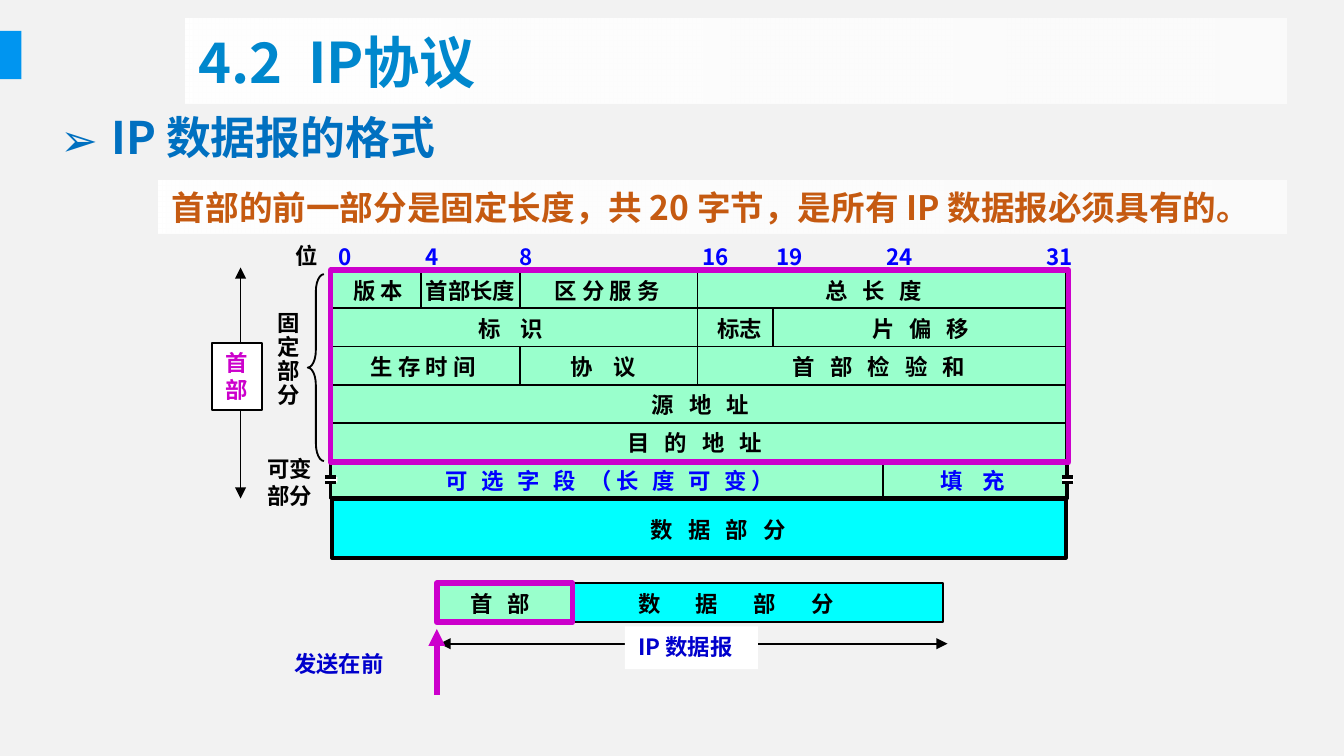
"""Build the slide on the IP datagram format."""
from typing import NamedTuple, Optional

from lxml import etree
from pptx import Presentation
from pptx.dml.color import RGBColor
from pptx.enum.shapes import MSO_CONNECTOR, MSO_SHAPE
from pptx.enum.text import MSO_ANCHOR, MSO_AUTO_SIZE, PP_ALIGN
from pptx.oxml.ns import qn
from pptx.util import Inches, Pt

RECT, BRACE = MSO_SHAPE.RECTANGLE, MSO_SHAPE.LEFT_BRACE
STRAIGHT = MSO_CONNECTOR.STRAIGHT
TOP, MIDDLE = MSO_ANCHOR.TOP, MSO_ANCHOR.MIDDLE
LEFT, CENTER = PP_ALIGN.LEFT, PP_ALIGN.CENTER
GROW, FIXED = MSO_AUTO_SIZE.SHAPE_TO_FIT_TEXT, MSO_AUTO_SIZE.NONE

FONT = "Noto Sans CJK SC"
COLORS = {
    "page": "F2F2F2", "accent": "0095F0", "title": "0087CD", "topic": "0070C0",
    "note": "C55A11", "black": "000000", "white": "FFFFFF", "blue": "0000FF",
    "navy": "0000CC", "pink": "CC00CC", "green": "99FFCC", "cyan": "00FFFF",
}
HEAD_X, HEAD_Y, HEAD_W, ROW_H = 2.46, 2.01, 5.49, 1.42 / 5


class Box(NamedTuple):
    x: float
    y: float
    w: float
    h: float
    fill: Optional[str] = None
    line: Optional[str] = None
    weight: float = 1


class Label(NamedTuple):
    text: str
    color: str = "black"
    size: float = 12
    gap: float = 0
    align: int = LEFT
    wrap: bool = False
    anchor: int = TOP
    leading: float = 1


class Line(NamedTuple):
    x1: float
    y1: float
    x2: float
    y2: float
    weight: float = 1
    color: str = "black"
    head: bool = False
    tail: bool = False


class Field(NamedTuple):
    row: int
    x: float
    w: float
    text: str
    gap: float = 0
    color: str = "black"


def row_y(row: float) -> float:
    return HEAD_Y + ROW_H * row


def rgb(name: str) -> RGBColor:
    return RGBColor.from_string(COLORS[name])


def draw_box(slide, box: Box, kind=RECT):
    shape = slide.shapes.add_shape(kind, *map(Inches, box[:4]))
    shape.shadow.inherit = False
    if box.fill:
        shape.fill.solid()
        shape.fill.fore_color.rgb = rgb(box.fill)
    else:
        shape.fill.background()
    if box.line:
        shape.line.color.rgb = rgb(box.line)
        shape.line.width = Pt(box.weight)
    else:
        shape.line.fill.background()
    return shape


def draw_fade(slide, box: Box):
    shape = draw_box(slide, box)
    shape.fill.gradient()
    shape.fill.gradient_angle = 0
    for stop in shape.fill.gradient_stops:
        stop.color.rgb = rgb("white")
    last = shape._element.xpath(".//a:gs/a:srgbClr")[-1]
    etree.SubElement(last, qn("a:alpha"), val="67000")
    return shape


def draw_line(slide, line: Line) -> None:
    link = slide.shapes.add_connector(STRAIGHT, *map(Inches, line[:4]))
    link.line.color.rgb = rgb(line.color)
    link.line.width = Pt(line.weight)
    stroke = link.line._get_or_add_ln()
    for tag, used in (("a:headEnd", line.head), ("a:tailEnd", line.tail)):
        if used:
            etree.SubElement(stroke, qn(tag), type="triangle")
    etree.SubElement(link._element.spPr, qn("a:effectLst"))


def style_run(run, label: Label) -> None:
    run.font.size, run.font.bold = Pt(label.size), True
    run.font.color.rgb = rgb(label.color)
    run.font.name = FONT
    props = run._r.get_or_add_rPr()
    etree.SubElement(props, qn("a:ea"), typeface=FONT)
    if label.gap:
        props.set("spc", str(round(label.gap * 100)))


def write(shape, label: Label) -> None:
    frame = shape.text_frame
    frame.text = label.text
    frame.word_wrap = label.wrap
    frame.vertical_anchor = label.anchor
    frame.auto_size = GROW if label.anchor == TOP else FIXED
    for para in frame.paragraphs:
        para.alignment = label.align
        para.line_spacing = label.leading
        for run in para.runs:
            style_run(run, label)


def draw_text(slide, box: Box, label: Label):
    shape = slide.shapes.add_textbox(*map(Inches, box[:4]))
    write(shape, label)
    return shape


def draw_break(slide, x: float) -> None:
    draw_box(slide, Box(x, 3.55, 0.09, 0.04, "white"))
    for y in (3.55, 3.59):
        draw_line(slide, Line(x, y, x + 0.08, y, 2))


FIELDS = [
    Field(0, 2.53, 0.59, "版 本"), Field(0, 3.07, 0.87, "首部长度"),
    Field(0, 4.03, 1.03, "区 分 服 务"), Field(0, 6.04, 1.01, "总 长 度", 2.7),
    Field(1, 3.46, 0.74, "标 识", 4), Field(1, 5.24, 0.54, "标志"),
    Field(1, 6.39, 1.01, "片 偏 移", 2.7), Field(2, 2.66, 1.03, "生 存 时 间"),
    Field(2, 4.15, 0.74, "协 议", 4), Field(2, 5.8, 1.65, "首 部 检 验 和", 2.7),
    Field(3, 4.75, 1.01, "源 地 址", 2.7), Field(4, 4.57, 1.33, "目 的 地 址", 2.7),
    Field(5, 3.22, 2.9, "可 选 字 段 （长 度 可 变）", 2.3, "blue"),
    Field(5, 6.9, 0.74, "填 充", 4, "blue"),
]
SPLITS = [(3.13, 0, 1), (3.87, 0, 1), (3.87, 2, 3), (5.19, 0, 3),
          (5.75, 1, 2), (6.57, 5, 6)]
BITS = {"0": 2.42, "4": 3.07, "8": 3.77, "16": 5.13, "19": 5.68, "24": 6.5,
        "31": 7.69}


def draw_head(slide) -> None:
    draw_box(slide, Box(HEAD_X, HEAD_Y, 5.48, 1.7, "green", "black", 2))
    data = Box(2.47, 3.71, 5.46, 0.44, "cyan", "black", 2.25)
    draw_box(slide, data)
    for row in range(1, 6):
        draw_line(slide, Line(HEAD_X, row_y(row), HEAD_X + HEAD_W, row_y(row)))
    for x, start, end in SPLITS:
        draw_line(slide, Line(x, row_y(start), x, row_y(end)))
    for bit, x in BITS.items():
        draw_text(slide, Box(x, 1.76, 0.2 + 0.1 * len(bit), 0.3), Label(bit, "blue"))
    for field in FIELDS:
        draw_text(slide, Box(field.x, row_y(field.row), field.w, 0.3),
                  Label(field.text, field.color, gap=field.gap))
    for x in (2.42, 7.9):
        draw_break(slide, x)
    draw_text(slide, Box(4.33, 3.79, 2.03, 0.3),
              Label("数 据 部 分", gap=2.7, align=CENTER, wrap=True))
    draw_box(slide, Box(HEAD_X, HEAD_Y, HEAD_W, 1.43, None, "pink", 3))


def draw_side(slide) -> None:
    draw_text(slide, Box(2.1, 1.75, 0.37, 0.3), Label("位"))
    draw_text(slide, Box(1.97, 2.27, 0.37, 0.83), Label("固\n定\n部\n分", leading=0.9))
    draw_text(slide, Box(1.89, 3.34, 0.54, 0.5), Label("可变\n部分"))
    brace = draw_box(slide, Box(2.29, 2.04, 0.12, 1.39, None, "black"), BRACE)
    brace.adjustments[0] = 1.08
    draw_line(slide, Line(1.79, 1.99, 1.79, 3.71, head=True, tail=True))
    head = draw_box(slide, Box(1.58, 2.55, 0.37, 0.5, "white", "black"))
    write(head, Label("首\n部", "pink"))


def draw_packet(slide) -> None:
    draw_line(slide, Line(3.27, 4.79, 7.05, 4.79, head=True, tail=True))
    draw_box(slide, Box(3.25, 4.34, 1, 0.29, "green", "black"))
    draw_box(slide, Box(4.25, 4.34, 2.77, 0.29, "cyan", "black"))
    draw_text(slide, Box(4.65, 4.34, 2.16, 0.3), Label("数 据 部 分", gap=8.1, wrap=True))
    draw_text(slide, Box(3.4, 4.34, 0.69, 0.3), Label("首 部", gap=2.7))
    name = draw_box(slide, Box(4.65, 4.66, 0.99, 0.32, "white"))
    write(name, Label("IP 数据报", "navy"))
    draw_line(slide, Line(3.25, 5.17, 3.25, 4.68, 3, "pink", tail=True))
    draw_text(slide, Box(2.09, 4.79, 0.93, 0.32), Label("发送在前", "navy"))
    draw_box(slide, Box(3.25, 4.34, 1.01, 0.29, None, "pink", 3))


def draw_titles(slide) -> None:
    draw_box(slide, Box(-0.01, 0.23, 0.17, 0.36, "accent"))
    label = Label("4.2", "title", 30, wrap=True, anchor=MIDDLE)
    title = draw_fade(slide, Box(1.38, 0.14, 8.19, 0.63))
    write(title, label)
    para = title.text_frame.paragraphs[0]
    for text, gap in ((" ", 6.7), ("IP协议", 0)):
        run = para.add_run()
        run.text = text
        style_run(run, label._replace(gap=gap))
    note = draw_fade(slide, Box(1.18, 1.34, 8.39, 0.4))
    write(note, Label("首部的前一部分是固定长度，共 20 字节，是所有 IP 数据报必须具有的。", "note", 18))
    topic = draw_text(slide, Box(0.35, 0.77, 9.21, 0.5),
                      Label("IP 数据报的格式", "topic", 24, wrap=True))
    props = topic.text_frame.paragraphs[0]._p.get_or_add_pPr()
    props.set("marL", str(Inches(0.38)))
    props.set("indent", str(Inches(-0.38)))
    etree.SubElement(props, qn("a:buFont"), typeface=FONT)
    etree.SubElement(props, qn("a:buChar"), char="➢")


def main() -> None:
    deck = Presentation()
    deck.slide_width, deck.slide_height = Inches(10), Inches(10) * 9 // 16
    slide = deck.slides.add_slide(deck.slide_layouts[6])
    slide.background.fill.solid()
    slide.background.fill.fore_color.rgb = rgb("page")
    for draw in (draw_head, draw_side, draw_packet, draw_titles):
        draw(slide)
    deck.save("out.pptx")


if __name__ == "__main__":
    main()
